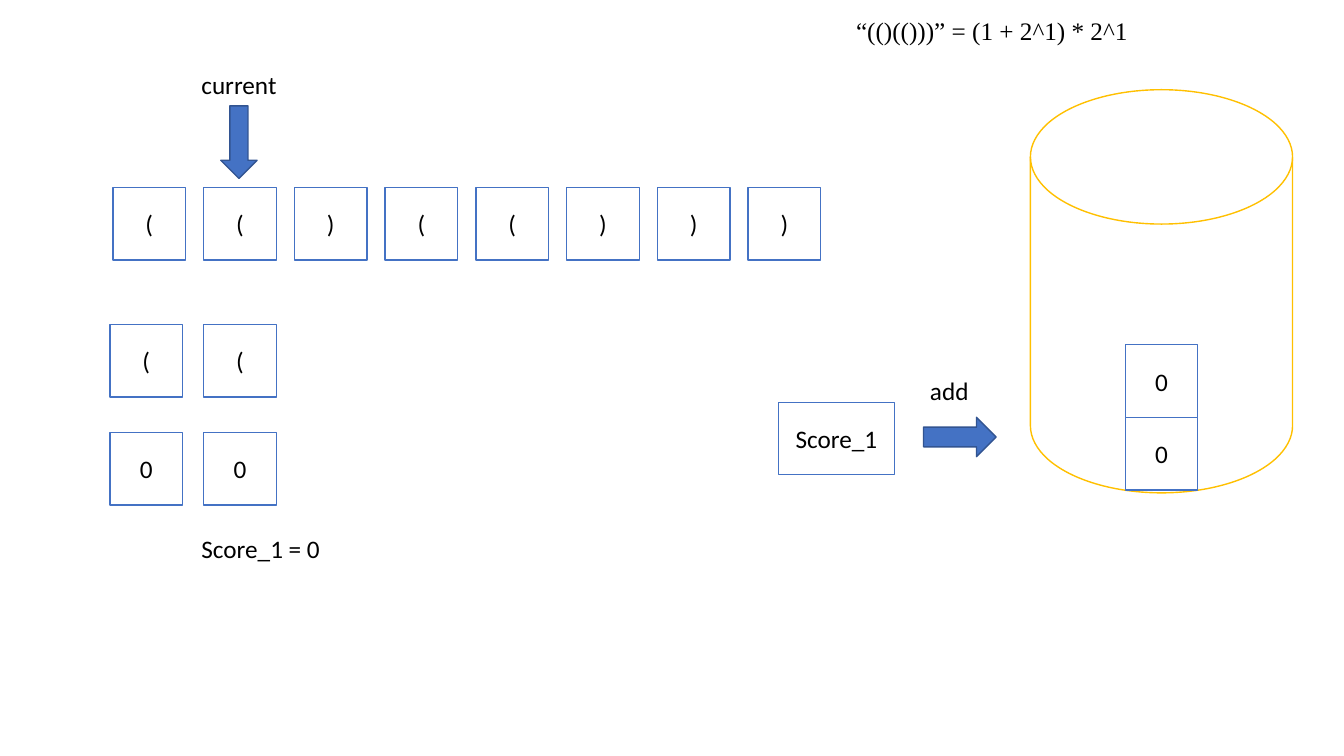
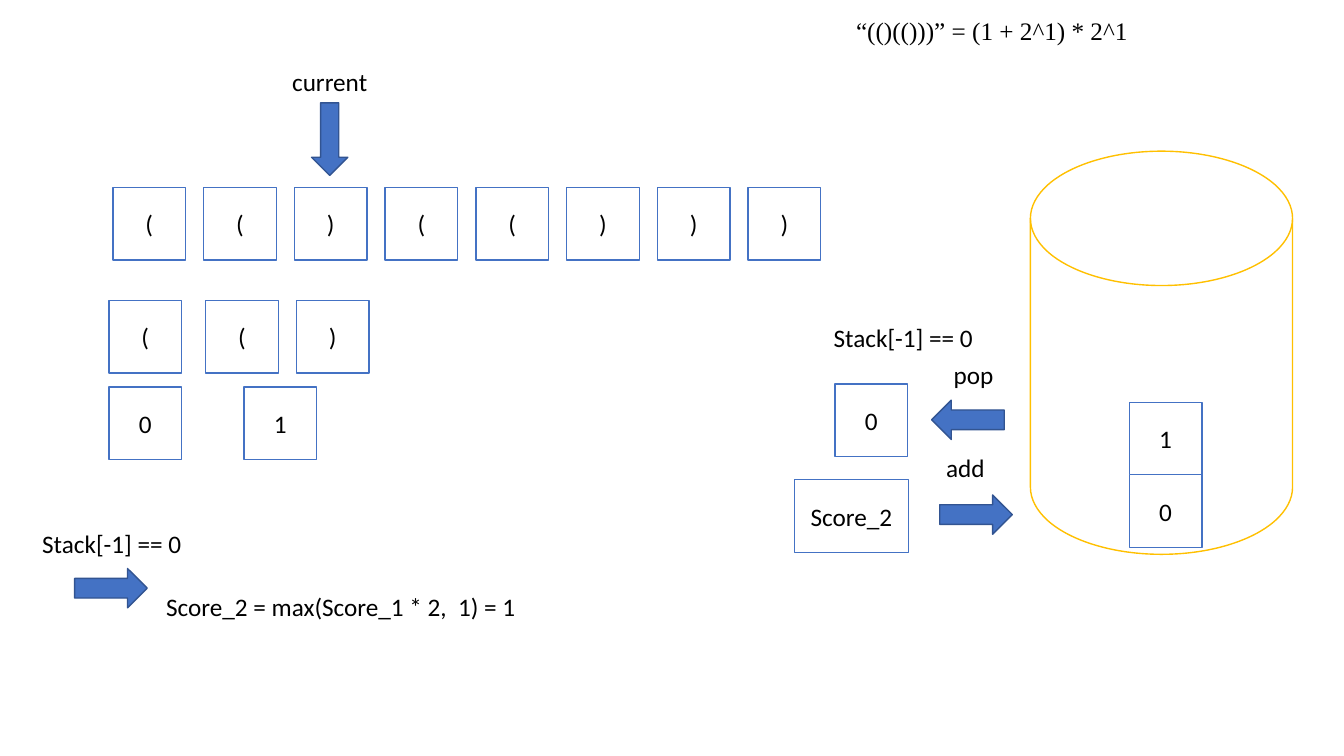
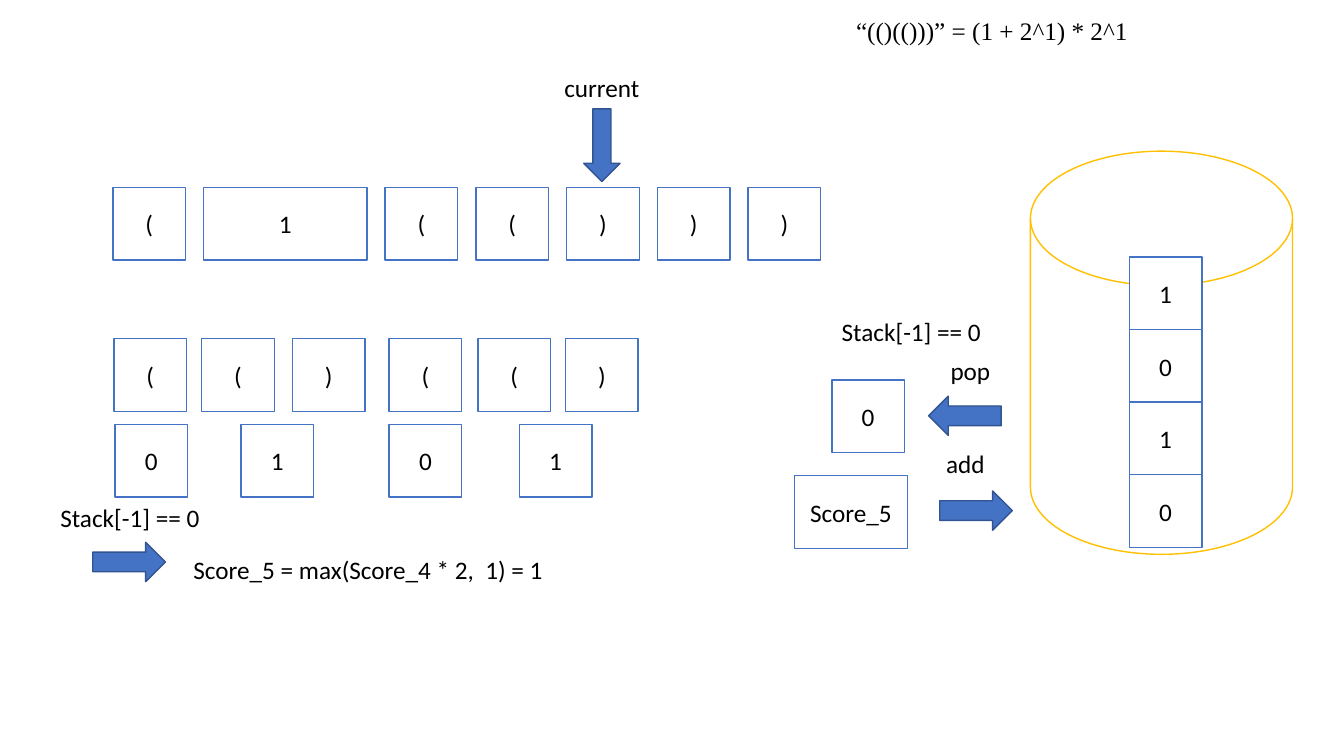
"""Build three steps of scoring nested brackets with a stack."""
from pptx import Presentation
from pptx.dml.color import RGBColor
from pptx.enum.shapes import MSO_SHAPE
from pptx.enum.text import MSO_ANCHOR, MSO_AUTO_SIZE, PP_ALIGN
from pptx.util import Inches, Pt

RECT, DISK = MSO_SHAPE.RECTANGLE, MSO_SHAPE.FLOWCHART_MAGNETIC_DISK
DOWN, RIGHT = MSO_SHAPE.DOWN_ARROW, MSO_SHAPE.RIGHT_ARROW
LEFT, MID = PP_ALIGN.LEFT, PP_ALIGN.CENTER
TOP, CENTER = MSO_ANCHOR.TOP, MSO_ANCHOR.MIDDLE
GROW = MSO_AUTO_SIZE.SHAPE_TO_FIT_TEXT
COLOR = {"paper": "FFFFFF", "ink": "000000", "blue": "4472C4",
         "navy": "325491", "gold": "FFC000"}
CELL, STEP, EDGE, ROW = 0.72, 0.9, 1.12, 1.86
TEXT_H, THICK = 0.4, 0.39
HEAD = "“(()(()))” = (1 + 2^1) * 2^1"
TEST = "Stack[-1] == 0"


def write(box, text, font="Calibri", align=MID, anchor=CENTER, grow=False):
    """Put formatted text into a shape."""
    frame = box.text_frame
    frame.word_wrap = True
    frame.vertical_anchor = anchor
    if grow:
        frame.auto_size = GROW
    para = frame.paragraphs[0]
    para.alignment = align
    run = para.add_run()
    run.text = text
    run.font.name, run.font.size = font, Pt(18)
    run.font.color.rgb = RGBColor.from_string(COLOR["ink"])


def draw(slide, kind, x, y, w=CELL, h=CELL, fill="paper", line="blue", text="", turn=0):
    """Add a filled and outlined shape."""
    shape = slide.shapes.add_shape(kind, *map(Inches, (x, y, w, h)))
    shape.shadow.inherit = False
    shape.fill.solid()
    shape.fill.fore_color.rgb = RGBColor.from_string(COLOR[fill])
    shape.line.color.rgb = RGBColor.from_string(COLOR[line])
    shape.line.width = Pt(1)
    shape.rotation = turn
    if text:
        write(shape, text)


steps = [
    {"input": [(c, 1) for c in "(()(()))"], "current": (1, 1.05),
     "seen": (3.22, "((", [1.09, 2.02]),
     "scores": (4.29, "00", [1.09, 2.02]),
     "disk": 0.89, "stack": (11.16, 4.14, "00"),
     "add": ("Score_1", 7.72, 3.99, 1.15),
     "notes": [("Score_1 = 0", 1.9, 5.24, 1.76)]},
    {"input": [(c, 1) for c in "(()(()))"], "current": (2, 1.02),
     "seen": (2.98, "(()", [1.08, 2.04, 2.94]),
     "scores": (3.84, "01", [1.08, 2.42]),
     "disk": 1.5, "stack": (11.2, 4.71, "01"),
     "add": ("Score_2", 7.88, 4.76, 1.13),
     "pop": (8.28, 3.81), "check": (0.74, 5.64),
     "notes": [("Score_2 = max(Score_1 * 2,  1) = 1", 1.55, 5.82, 3.8),
               (TEST, 8.17, 3.15, 1.67)]},
    {"input": [("(", 1), ("1", 2)] + [(c, 1) for c in "(()))"], "current": (5, 1.08),
     "seen": (3.36, "(()(()", [1.13, 2, 2.9, 3.86, 4.74, 5.61]),
     "scores": (4.21, "0101", [1.14, 2.39, 3.86, 5.15]),
     "disk": 1.5, "stack": (11.2, 4.71, "0101"),
     "add": ("Score_5", 7.88, 4.72, 1.12),
     "pop": (8.25, 3.77), "check": (0.92, 5.38),
     "notes": [("Score_5 = max(Score_4 * 2,  1) = 1", 1.82, 5.45, 3.8),
               (TEST, 8.25, 3.09, 1.67)]},
]

deck = Presentation()
deck.slide_width, deck.slide_height = Inches(13.33), Inches(7.5)

for step in steps:
    slide = deck.slides.add_slide(deck.slide_layouts[5])
    title = slide.shapes.title
    title.left, title.top, title.width, title.height = map(Inches, (8.39, 0.1, 3.13, TEXT_H))
    write(title, HEAD, font="Times New Roman", align=LEFT, anchor=TOP, grow=True)

    col = 0
    for sign, span in step["input"]:
        draw(slide, RECT, EDGE + col * STEP, ROW, w=CELL + (span - 1) * STEP, text=sign)
        col += span

    for name in ("seen", "scores"):
        y, signs, lefts = step[name]
        for sign, x in zip(signs, lefts):
            draw(slide, RECT, x, y, text=sign)

    draw(slide, DISK, 10.22, step["disk"], 2.6, 4, line="gold")
    x, base, items = step["stack"]
    for level, item in enumerate(items):
        draw(slide, RECT, x, base - level * CELL, text=item)

    col, y = step["current"]
    x = EDGE + col * STEP + 0.17
    draw(slide, DOWN, x, y, w=CELL / 2, fill="blue", line="navy")
    labels = [("current", x - 0.37, y - 0.41, 1.1, MID)]

    score, x, y, wide = step["add"]
    draw(slide, RECT, x, y, w=wide, text=score)
    arrows = [(x + 1.44, y + 0.15, 0)]
    labels.append(("add", x + 1.28, y - 0.32, 0.83, MID))

    if "pop" in step:
        x, y = step["pop"]
        draw(slide, RECT, x, y, text="0")
        arrows.append((x + 0.96, y + 0.16, 180))
        labels.append(("pop", x + 0.96, y - 0.29, 0.83, MID))

    if "check" in step:
        x, y = step["check"]
        arrows.append((x, y, 0))
        labels.append((TEST, x - 0.42, y - 0.45, 1.67, LEFT))

    for x, y, turn in arrows:
        draw(slide, RIGHT, x, y, h=THICK, fill="blue", line="navy", turn=turn)

    labels += [(*note, LEFT) for note in step["notes"]]
    for text, x, y, wide, align in labels:
        box = slide.shapes.add_textbox(*map(Inches, (x, y, wide, TEXT_H)))
        write(box, text, align=align, anchor=TOP, grow=True)

deck.save("out.pptx")
